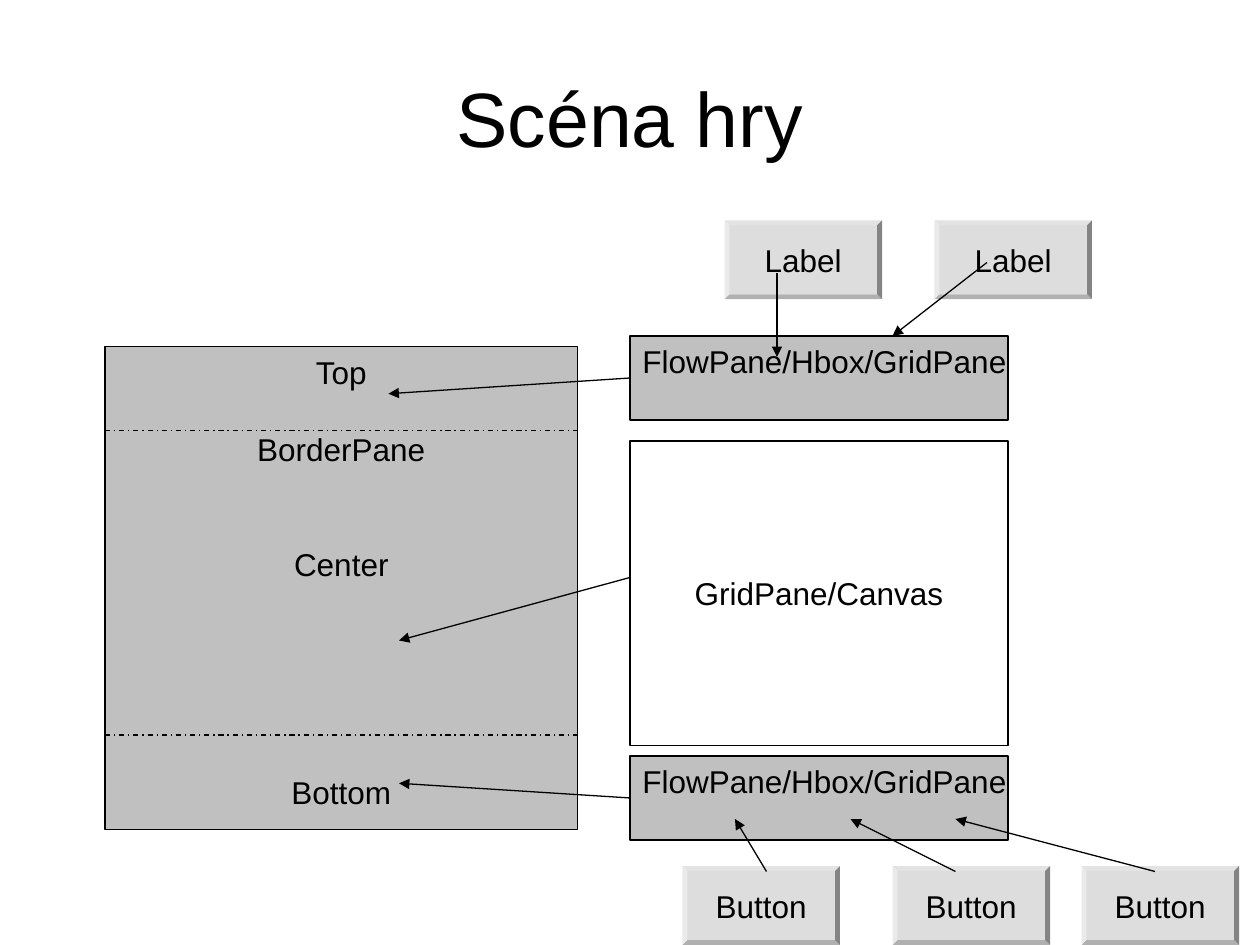
from dataclasses import dataclass
from typing import Optional

from pptx import Presentation
from pptx.dml.color import RGBColor
from pptx.enum.dml import MSO_LINE
from pptx.enum.shapes import MSO_CONNECTOR, MSO_SHAPE
from pptx.enum.text import MSO_ANCHOR, PP_ALIGN
from pptx.oxml.ns import qn
from pptx.util import Pt
from lxml import etree

PX = 7620  # 120 px to the inch
BLACK = RGBColor(0x00, 0x00, 0x00)
WHITE = RGBColor(0xFF, 0xFF, 0xFF)
GRAY = RGBColor(0xC0, 0xC0, 0xC0)
LIGHT = RGBColor(0xDD, 0xDD, 0xDD)
RECT, BEVEL = MSO_SHAPE.RECTANGLE, MSO_SHAPE.BEVEL
STRAIGHT, DASH_DOT = MSO_CONNECTOR.STRAIGHT, MSO_LINE.DASH_DOT
TOP, MIDDLE = MSO_ANCHOR.TOP, MSO_ANCHOR.MIDDLE
LEFT, CENTER = PP_ALIGN.LEFT, PP_ALIGN.CENTER
LEFT_SIDE = 1
LINE_WIDTH = Pt(0.75)
BODY_SIZE, TITLE_SIZE = 18, 44


@dataclass(frozen=True)
class Line:
    text: str
    space_before: float = 0


@dataclass(frozen=True)
class Pane:
    box: tuple[int, int, int, int]
    lines: tuple[Line, ...]
    fill: RGBColor = GRAY
    anchor: MSO_ANCHOR = TOP
    align: PP_ALIGN = LEFT


@dataclass(frozen=True)
class Control:
    text: str
    x: int
    y: int


@dataclass(frozen=True)
class Arrow:
    start: tuple[int, int]
    end: tuple[int, int]
    source: Optional[str] = None  # pane whose left side the arrow leaves


PANES = {
    "border": Pane((100, 330, 450, 460), (
        Line("Top"), Line("BorderPane", 22.5), Line("Center", 44), Line("Bottom", 109),
    ), align=CENTER),
    "upper": Pane((600, 320, 360, 80), (Line("FlowPane/Hbox/GridPane"),)),
    "canvas": Pane((600, 420, 360, 290), (Line("GridPane/Canvas"),), WHITE, MIDDLE, CENTER),
    "lower": Pane((600, 720, 360, 80), (Line("FlowPane/Hbox/GridPane"),)),
}
CONTROLS = [Control("Label", x, 210) for x in (690, 890)]
CONTROLS += [Control("Button", x, 825) for x in (650, 850, 1030)]
CONTROL_W, CONTROL_H, BEVEL_RATIO = 150, 75, 0.0625
DIVIDERS_Y = (410, 700)
ARROWS = (
    Arrow((600, 360), (370, 375), "upper"),
    Arrow((600, 550), (380, 610)),
    Arrow((600, 760), (380, 746), "lower"),
    Arrow((740, 260), (740, 340)),
    Arrow((940, 250), (850, 320)),
    Arrow((730, 830), (700, 780)),
    Arrow((910, 830), (810, 780)),
    Arrow((1100, 830), (910, 780)),
)


def emu(*lengths: int) -> list[int]:
    return [n * PX for n in lengths]


def write(sp, lines, size: int, anchor, align, wrap: bool = False) -> None:
    tf = sp.text_frame
    frame = dict(word_wrap=wrap, vertical_anchor=anchor, margin_left=12 * PX,
                 margin_right=12 * PX, margin_top=6 * PX, margin_bottom=6 * PX)
    for name, value in frame.items():
        setattr(tf, name, value)
    for i, line in enumerate(lines):
        p = tf.add_paragraph() if i else tf.paragraphs[0]
        p.alignment = align
        if line.space_before:
            p.space_before = Pt(line.space_before)
        r = p.add_run()
        r.text = line.text
        for name, value in dict(name="Arial", size=Pt(size)).items():
            setattr(r.font, name, value)
        r.font.color.rgb = BLACK


def add_filled(slide, kind, box, fill: RGBColor):
    sp = slide.shapes.add_shape(kind, *emu(*box))
    sp.shadow.inherit = False
    sp.fill.solid()
    sp.fill.fore_color.rgb = fill
    return sp


def add_pane(slide, pane: Pane):
    sp = add_filled(slide, RECT, pane.box, pane.fill)
    sp.line.color.rgb = BLACK
    sp.line.width = LINE_WIDTH
    write(sp, pane.lines, BODY_SIZE, pane.anchor, pane.align)
    return sp


def add_control(slide, control: Control) -> None:
    sp = add_filled(slide, BEVEL, (control.x, control.y, CONTROL_W, CONTROL_H), LIGHT)
    sp.adjustments[0] = BEVEL_RATIO
    sp.line.fill.background()
    write(sp, [Line(control.text)], BODY_SIZE, MIDDLE, CENTER)


def add_line(slide, start: tuple[int, int], end: tuple[int, int]):
    line = slide.shapes.add_connector(STRAIGHT, *emu(*start, *end))
    line.line.color.rgb = BLACK
    line.line.width = LINE_WIDTH
    etree.SubElement(line._element.spPr, qn("a:effectLst"))
    return line


def add_arrow(slide, arrow: Arrow, panes: dict) -> None:
    line = add_line(slide, arrow.start, arrow.end)
    etree.SubElement(line.line._get_or_add_ln(), qn("a:tailEnd"), type="triangle")
    if arrow.source:
        line.begin_connect(panes[arrow.source], LEFT_SIDE)


def main() -> None:
    prs = Presentation()
    prs.slide_width, prs.slide_height = emu(1200, 900)
    slide = prs.slides.add_slide(prs.slide_layouts[6])

    title = slide.shapes.add_textbox(*emu(60, 36, 1080, 150))
    write(title, [Line("Scéna hry")], TITLE_SIZE, MIDDLE, CENTER, wrap=True)

    panes = {name: add_pane(slide, pane) for name, pane in PANES.items()}
    for control in CONTROLS:
        add_control(slide, control)

    x, _, width, _ = PANES["border"].box
    for y in DIVIDERS_Y:
        add_line(slide, (x, y), (x + width, y)).line.dash_style = DASH_DOT
    for arrow in ARROWS:
        add_arrow(slide, arrow, panes)

    prs.save("out.pptx")


if __name__ == "__main__":
    main()
